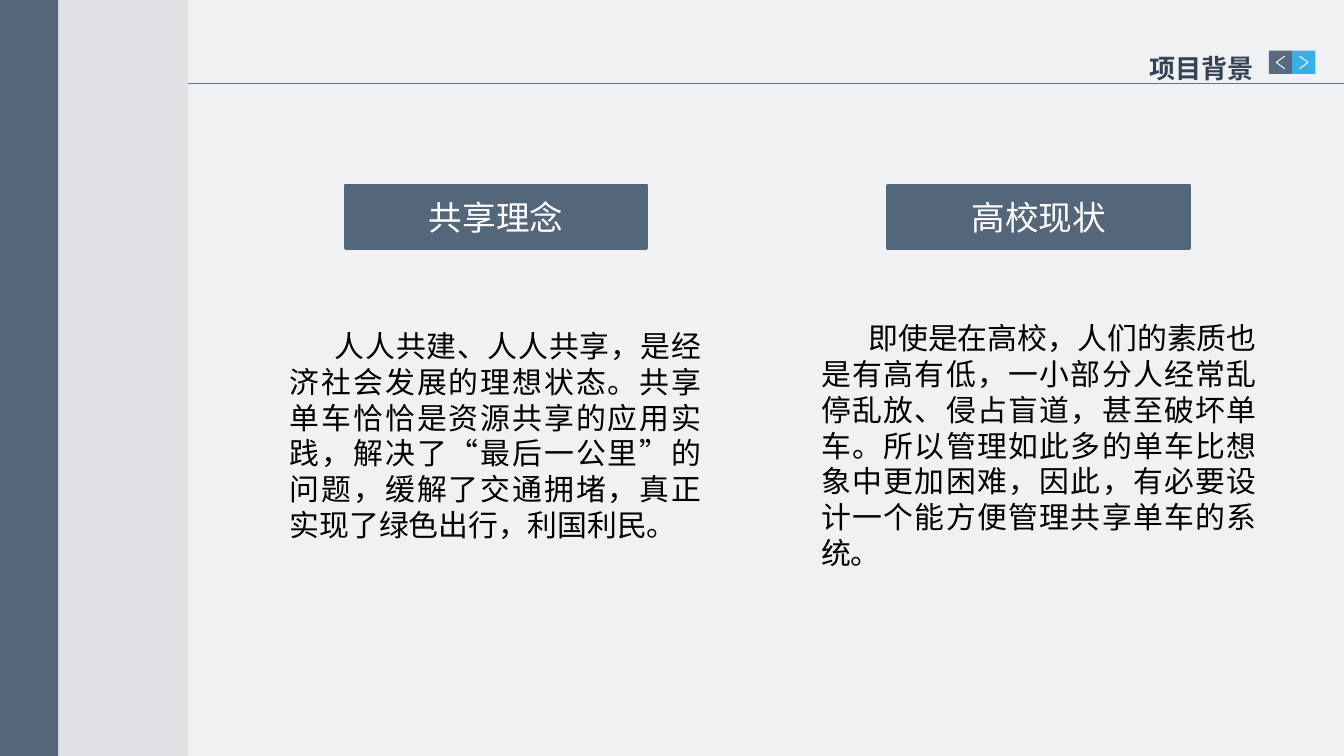
from pptx import Presentation
from pptx import util as u
from pptx.dml.color import RGBColor
from pptx.enum import shapes, text
from pptx.oxml.ns import qn
from lxml import etree

SLATE = RGBColor(0x54, 0x66, 0x7A)
RULE = RGBColor(0x62, 0x76, 0x8C)
BUTTON = RGBColor(0x58, 0x6B, 0x7F)
BLUE = RGBColor(0x37, 0xB0, 0xE8)
TITLE = RGBColor(0x35, 0x44, 0x54)
BACKGROUND = RGBColor(0xF0, 0xF1, 0xF3)
WHITE = RGBColor(0xFF, 0xFF, 0xFF)
BLACK = RGBColor(0x00, 0x00, 0x00)
FONT = "Noto Sans CJK SC"
WIDTH, HEIGHT = 25.4, 14.29
SIDEBAR = 3.56

COLUMNS = [
    ("共享理念", 6.53, (5.23, 6.07, 8.28, 5.13), 0.85,
     "人人共建、人人共享，是经济社会发展的理想状态。共享单车恰恰是资源共享的应用实践，"
     "解决了“最后一公里”的问题，缓解了交通拥堵，真正实现了绿色出行，利国利民。"),
    ("高校现状", 16.79, (15.27, 5.92, 8.74, 5.82), 0.89,
     "即使是在高校，人们的素质也是有高有低，一小部分人经常乱停乱放、侵占盲道，甚至破坏单车。"
     "所以管理如此多的单车比想象中更加困难，因此，有必要设计一个能方便管理共享单车的系统。"),
]


def add_rect(parent, left, top, width, height, fill):
    sp = parent.shapes.add_shape(shapes.MSO_SHAPE.RECTANGLE, u.Cm(left), u.Cm(top),
                                 u.Cm(width), u.Cm(height))
    sp.shadow.inherit = False
    sp.fill.solid()
    sp.fill.fore_color.rgb = fill
    sp.line.fill.background()
    return sp


def set_alpha(sp, percent):
    clr = sp.fill._xPr.find(qn("a:solidFill"))[0]
    etree.SubElement(clr, qn("a:alpha")).set("val", str(percent * 1000))


def write(tf, content, size, color, align, bold=False):
    tf.word_wrap = True
    p = tf.paragraphs[0]
    p.text = content
    p.alignment = align
    r = p.runs[0]
    r.font.name = FONT
    r.font.size = u.Pt(size)
    r.font.bold = bold
    r.font.color.rgb = color
    etree.SubElement(r.font._element, qn("a:ea")).set("typeface", FONT)
    return p


def add_text(s, box, content, size, color, align, bold=False):
    tf = s.shapes.add_textbox(*map(u.Cm, box)).text_frame
    p = write(tf, content, size, color, align, bold)
    tf.auto_size = text.MSO_AUTO_SIZE.SHAPE_TO_FIT_TEXT
    return tf, p


def add_rule(s, left, top, right):
    line = s.shapes.add_connector(shapes.MSO_CONNECTOR.STRAIGHT, u.Cm(left), u.Cm(top),
                                  u.Cm(right), u.Cm(top))
    line.line.color.rgb = RULE
    line.line.width = u.Pt(0.5)
    etree.SubElement(line._element.spPr, qn("a:effectLst"))


def add_arrow_button(s, left, fill, direction):
    top, side = 0.96, 0.44
    group = s.shapes.add_group_shape()
    add_rect(group, left, top, side, side, fill)
    center_x, center_y = left + side / 2, top + side / 2
    tail_x, tip_x = center_x - direction * 0.08, center_x + direction * 0.08
    builder = group.shapes.build_freeform(u.Cm(tail_x), u.Cm(center_y - 0.12))
    builder.add_line_segments([(u.Cm(tip_x), u.Cm(center_y)),
                               (u.Cm(tail_x), u.Cm(center_y + 0.12))], close=False)
    sp = builder.convert_to_shape()
    sp.shadow.inherit = False
    sp.fill.background()
    sp.line.color.rgb = WHITE
    sp.line.width = u.Pt(0.5)


def add_title(s, content):
    tf, p = add_text(s, (16.31, 0.74, 7.39, 0.79), content, 14, TITLE,
                     text.PP_ALIGN.RIGHT, True)
    tf.margin_left = tf.margin_top = tf.margin_right = tf.margin_bottom = 0
    tf.vertical_anchor = text.MSO_ANCHOR.MIDDLE
    p.line_spacing = 1.5


def add_body(s, box, indent, content):
    tf, p = add_text(s, box, content, 16, BLACK, text.PP_ALIGN.JUSTIFY)
    p._p.get_or_add_pPr().set("indent", str(u.Cm(indent)))


def add_heading(s, left, content):
    sp = add_rect(s, left, 3.51, 5.69, 1.19, SLATE)
    sp.line.color.rgb = SLATE
    sp.line.width = u.Pt(2)
    sp.text_frame.vertical_anchor = text.MSO_ANCHOR.MIDDLE
    write(sp.text_frame, content, 18, WHITE, text.PP_ALIGN.CENTER)


def main():
    prs = Presentation()
    prs.slide_width, prs.slide_height = u.Cm(WIDTH), u.Cm(HEIGHT)
    s = prs.slides.add_slide(prs.slide_layouts[6])
    s.background.fill.solid()
    s.background.fill.fore_color.rgb = BACKGROUND

    set_alpha(add_rect(s, 0, 0, SIDEBAR, HEIGHT, SLATE), 10)
    add_rule(s, SIDEBAR, 1.57, WIDTH)
    add_rect(s, 0, 0, 1.1, HEIGHT, SLATE)
    add_arrow_button(s, 23.98, BUTTON, -1)
    add_arrow_button(s, 24.42, BLUE, 1)
    add_title(s, "项目背景")
    for heading, left, box, indent, body in COLUMNS:
        add_body(s, box, indent, body)
        add_heading(s, left, heading)
    prs.save("out.pptx")


if __name__ == "__main__":
    main()
